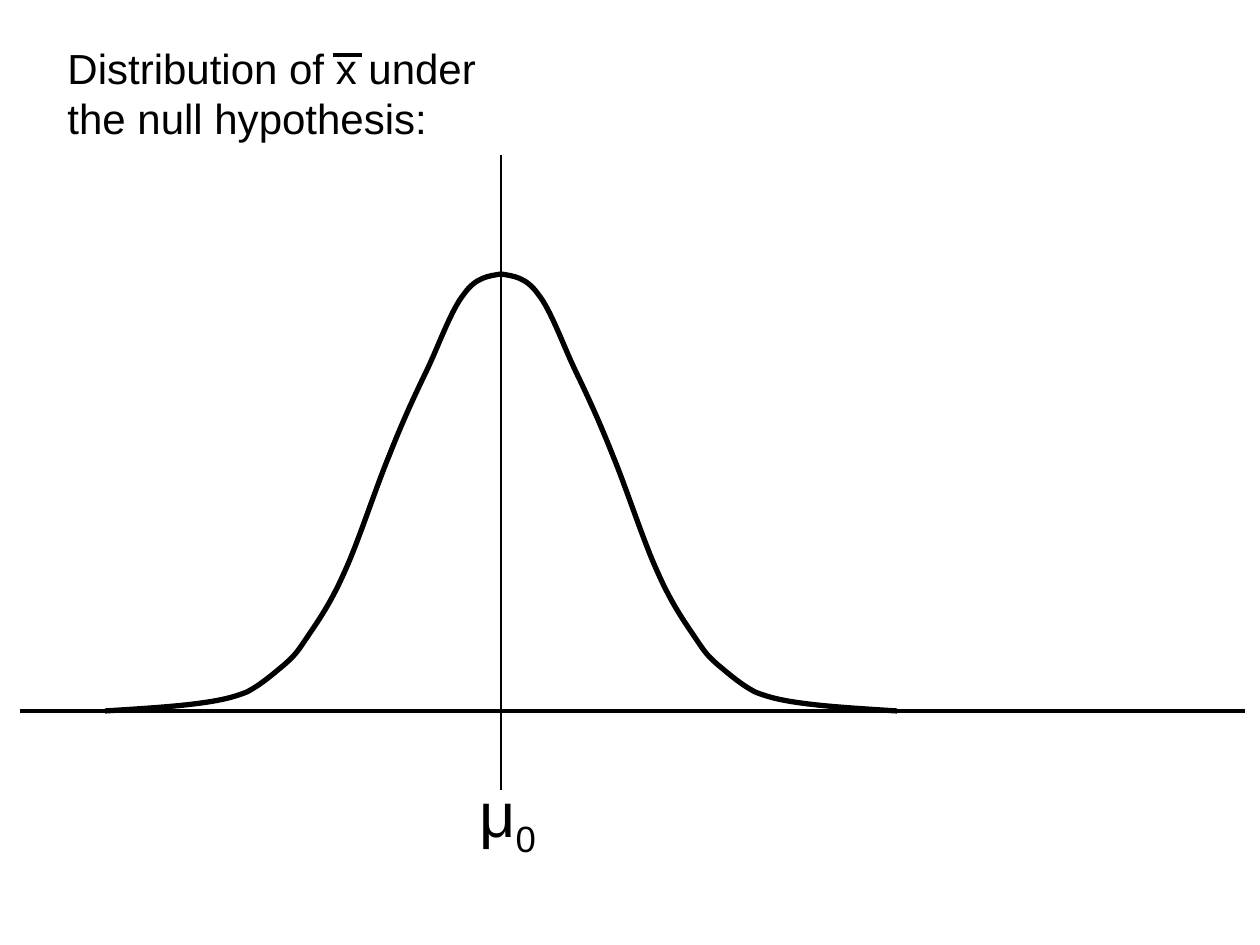
"""Build a slide showing the null distribution of a sample mean."""
from lxml import etree
from pptx import Presentation
from pptx import util as u
from pptx.dml.color import RGBColor
from pptx.enum import shapes, text
from pptx.oxml.ns import qn

PX = 914400 / 126
BLACK = "000000"
FONT = "Arial"
AXIS_Y = 711
MEAN_X = 501
LEFT_HALF = [
    ((105, AXIS_Y),),
    ((137, 709), (170, 707), (194, 704)),
    ((218, 701), (232, 698), (247, 692)),
    ((262, 684), (273, 674), (284, 665)),
    ((294, 656), (296, 654), (306, 639)),
    ((316, 624), (330, 605), (344, 573)),
    ((358, 543), (375, 490), (389, 456)),
    ((402, 423), (413, 399), (426, 372)),
    ((439, 345), (451, 310), (464, 294)),
    ((476, 277), (489, 276), (MEAN_X, 274)),
]


def px(n):
    """Turn pixels into EMU."""
    return u.Emu(round(n * PX))


def color(value):
    """Turn a hex string into a colour."""
    return RGBColor.from_string(value)


def set_line(sp, width):
    """Give a shape or connector a black line."""
    sp.line.color.rgb = color(BLACK)
    sp.line.width = u.Pt(width)


def mirror(curve):
    """Reflect a curve about the mean."""
    return [tuple((2 * MEAN_X - x, y) for x, y in points) for points in curve]


def add_curve(parent, curve, width):
    """Draw an open, unfilled chain of cubic curves."""
    first, *rest = [tuple(map(px, points[-1])) for points in curve]
    builder = parent.build_freeform(*first)
    builder.add_line_segments(rest, close=False)
    sp = builder.convert_to_shape()
    segments = list(sp._element.iter(qn("a:lnTo")))
    for segment, points in zip(segments, curve[1:]):
        segment.tag = qn("a:cubicBezTo")
        segment.clear()
        for x, y in points:
            etree.SubElement(segment, qn("a:pt"),
                             x=str(px(x) - sp.left), y=str(px(y) - sp.top))
    sp.shadow.inherit = False
    sp.fill.background()
    set_line(sp, width)


def add_bell(slide):
    """Draw the bell curve as two mirrored halves in a group."""
    group = slide.shapes.add_group_shape()
    for half in (LEFT_HALF, mirror(LEFT_HALF)):
        add_curve(group.shapes, half, 3)


def add_line(slide, x1, y1, x2, y2, width):
    """Draw a straight line without a shadow."""
    line = slide.shapes.add_connector(
        shapes.MSO_CONNECTOR.STRAIGHT, px(x1), px(y1), px(x2), px(y2))
    set_line(line, width)
    etree.SubElement(line._element.spPr, qn("a:effectLst"))


def add_text(slide, content, size, x, y, w, h, subscript=""):
    """Add unwrapped text, with an optional subscript at its end."""
    sp = slide.shapes.add_textbox(*map(px, (x, y, w, h)))
    tf = sp.text_frame
    tf.text = content
    tf.word_wrap = False
    tf.auto_size = text.MSO_AUTO_SIZE.SHAPE_TO_FIT_TEXT
    if subscript:
        r = tf.paragraphs[-1].add_run()
        r.text = subscript
        r.font._element.set("baseline", "-25000")
    for p in tf.paragraphs:
        p.font.name = FONT
        p.font.size = u.Pt(size)
        p.font.color.rgb = color(BLACK)


def main():
    """Build and save the slide."""
    prs = Presentation()
    prs.slide_width, prs.slide_height = u.Inches(10), u.Inches(7.5)
    slide = prs.slides.add_slide(prs.slide_layouts[6])
    add_bell(slide)
    add_line(slide, 20, AXIS_Y, 1245, AXIS_Y, 2.25)
    add_line(slide, MEAN_X, 155, MEAN_X, 790, 0.75)
    add_text(slide, "μ", 36, 467, 768, 82, 100, subscript="0")
    add_text(slide, "Distribution of x under\nthe null hypothesis:", 24, 55, 36, 445, 113)
    add_line(slide, 333, 55, 362, 55, 2.25)
    prs.save("out.pptx")


if __name__ == "__main__":
    main()
